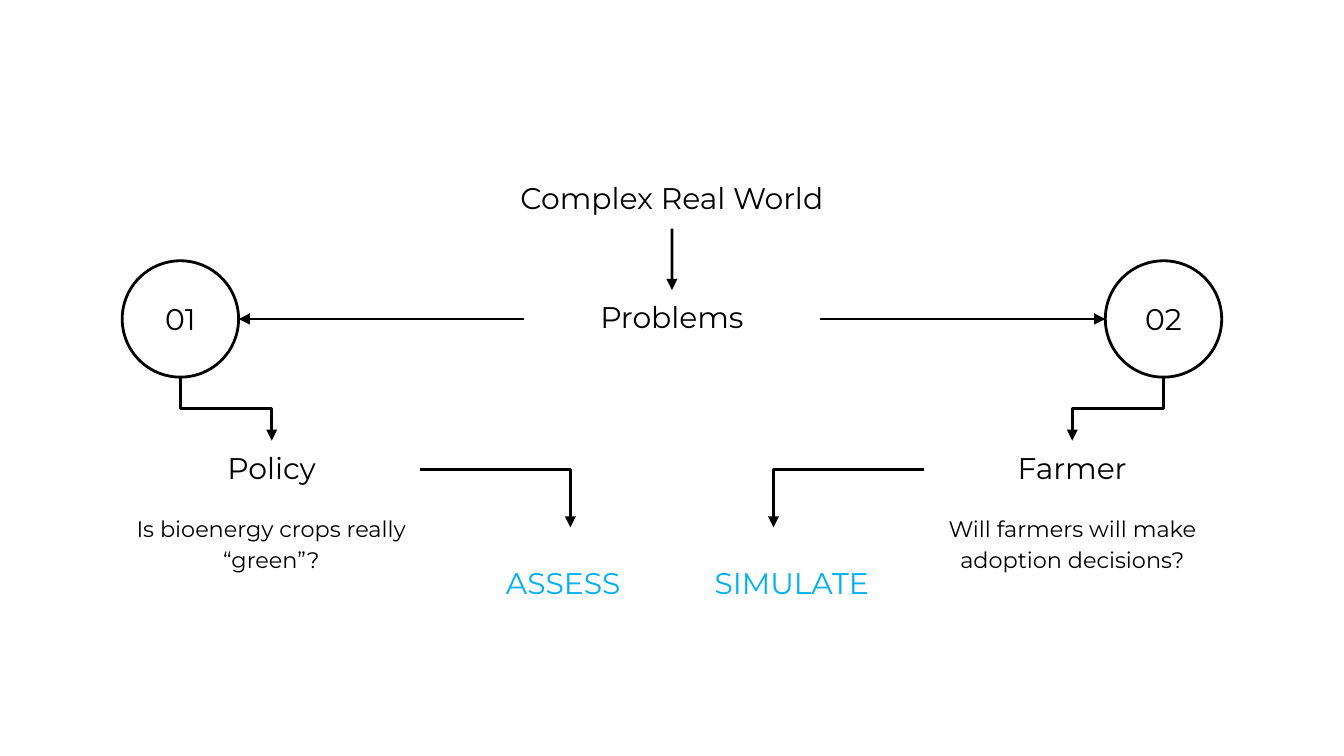
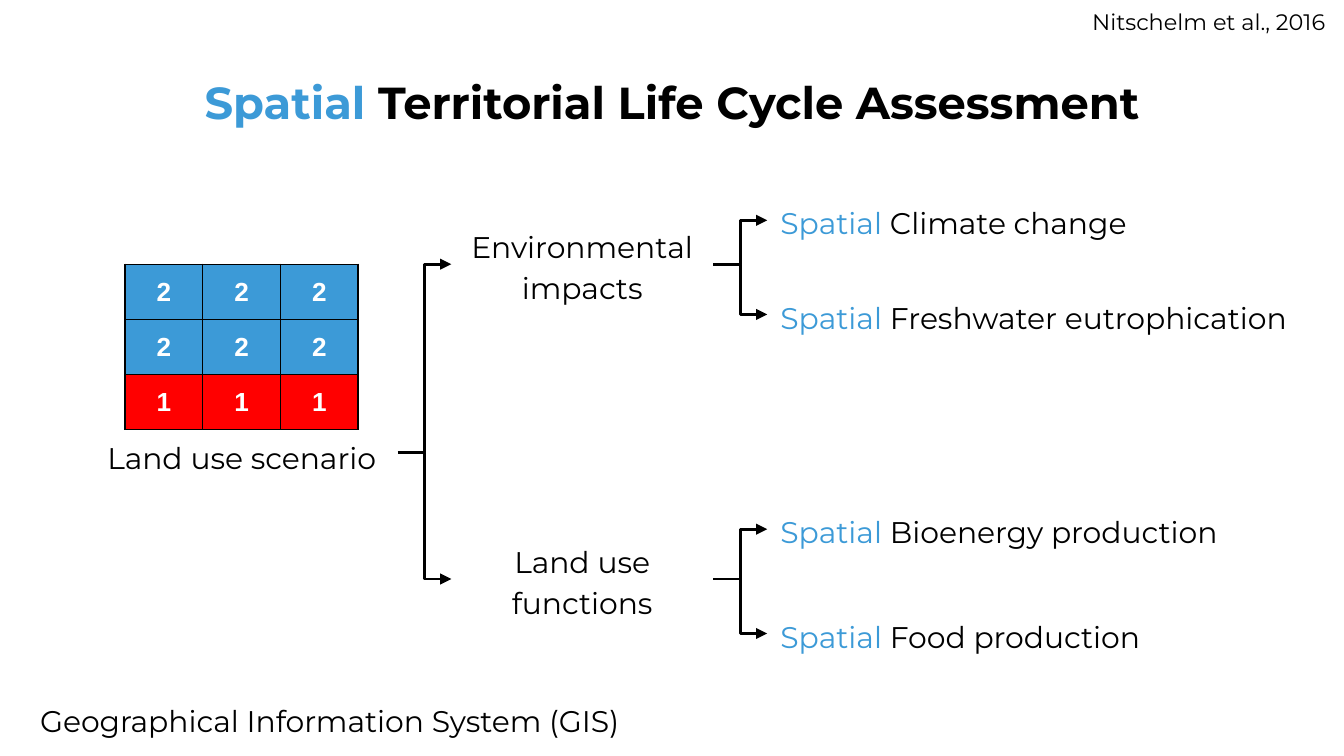
from dataclasses import dataclass
from typing import Optional

from lxml import etree
from pptx import Presentation
from pptx.dml.color import RGBColor
from pptx.enum.shapes import MSO_CONNECTOR, MSO_SHAPE
from pptx.enum.text import MSO_ANCHOR, PP_ALIGN
from pptx.oxml.ns import qn
from pptx.util import Cm, Pt

ELBOW, STRAIGHT = MSO_CONNECTOR.ELBOW, MSO_CONNECTOR.STRAIGHT
OVAL = MSO_SHAPE.OVAL
LEFT, CENTER = PP_ALIGN.LEFT, PP_ALIGN.CENTER
TOP, MID, LOW = MSO_ANCHOR.TOP, MSO_ANCHOR.MIDDLE, MSO_ANCHOR.BOTTOM
N, W, S, E = range(4)  # sides of a box

BLACK, WHITE, RED = "000000", "FFFFFF", "FF0000"
BLUE, CYAN = "3C9AD7", "00B0F0"
FONT = "Montserrat"
WIDE, HIGH = 25.4, 14.29
PAD = Cm(0.25)


@dataclass
class Run:
    text: str
    color: str = BLACK


@dataclass
class Label:
    runs: list[Run]
    x: float
    y: float
    w: float
    h: float = 1.37
    size: int = 16
    anchor: MSO_ANCHOR = MID
    align: PP_ALIGN = CENTER
    bold: bool = False
    gap: Optional[float] = 1.15


@dataclass
class Branch:
    num: str
    name: str
    ask: str
    verb: str
    flip: bool


def rgb(code: str) -> RGBColor:
    return RGBColor.from_string(code)


def write(frame, item: Label, font: str = FONT) -> None:
    """Fill a text frame with the runs of a label."""
    frame.vertical_anchor = item.anchor
    para = frame.paragraphs[0]
    para.alignment = item.align
    if item.gap:
        para.line_spacing = item.gap
    for part in item.runs:
        run = para.add_run()
        run.text = part.text
        run.font.name = font
        run.font.size = Pt(item.size)
        run.font.bold = item.bold
        run.font.color.rgb = rgb(part.color)


def place(slide, item: Label, kind=None):
    """Draw a label as a text box, or as an outlined shape of some kind."""
    area = Cm(item.x), Cm(item.y), Cm(item.w), Cm(item.h)
    if kind is None:
        shape = slide.shapes.add_textbox(*area)
    else:
        shape = slide.shapes.add_shape(kind, *area)
        shape.shadow.inherit = False
        shape.fill.solid()
        shape.fill.fore_color.rgb = rgb(WHITE)
        shape.line.color.rgb = rgb(BLACK)
        shape.line.width = Pt(1.5)
    frame = shape.text_frame
    frame.word_wrap = True
    frame.margin_left = frame.margin_right = PAD
    frame.margin_top = frame.margin_bottom = PAD
    write(frame, item)
    return shape


def spot(shape, side: int) -> tuple[int, int]:
    """Middle of one side of a shape."""
    dx, dy = {N: (1, 0), W: (0, 1), S: (1, 2), E: (2, 1)}[side]
    return shape.left + shape.width * dx // 2, shape.top + shape.height * dy // 2


def arrow(slide, kind, start, end):
    """Draw a black line with an arrowhead at its end."""
    line = slide.shapes.add_connector(kind, *start, *end)
    line.line.color.rgb = rgb(BLACK)
    line.line.width = Pt(1.5)
    props = line.element.spPr
    etree.SubElement(props.find(qn("a:ln")), qn("a:tailEnd"), type="triangle")
    etree.SubElement(props, qn("a:effectLst"))
    return line


def link(slide, one, out: int, two, into: int, kind=ELBOW):
    """Join the sides of two shapes with an arrow."""
    line = arrow(slide, kind, spot(one, out), spot(two, into))
    line.begin_connect(one, out)
    line.end_connect(two, into)
    # An ellipse has eight sites, so each side counts double
    for shape, side, tag in ((one, out, "a:stCxn"), (two, into, "a:endCxn")):
        geom = shape.element.spPr.find(qn("a:prstGeom"))
        if geom.get("prst") == "ellipse":
            site = next(line.element.iter(qn(tag)))
            site.set("idx", str(side * 2))
    return line


def drop(slide, one, two) -> None:
    """Join bottom to top with an elbow that leaves downwards."""
    line = link(slide, one, S, two, N)
    (x1, y1), (x2, y2) = spot(one, S), spot(two, N)
    right = x2 > x1
    wide, high = y2 - y1, abs(x2 - x1)
    line.left, line.top = (x1 + x2 - wide) // 2, (y1 + y2 - high) // 2
    line.width, line.height = wide, high
    frame = line.element.spPr.find(qn("a:xfrm"))
    frame.set("rot", str((270 if right else 90) * 60000))
    frame.set("flipH", "1" if right else "0")


def corner(slide, one, side: int, x: float, y: float) -> None:
    """Lead from a side outwards, then down to a point."""
    line = arrow(slide, ELBOW, spot(one, side), (Cm(x), Cm(y)))
    line.begin_connect(one, side)
    line.element.spPr.find(qn("a:prstGeom")).set("prst", "bentConnector2")


def grid(slide, rows: list[str], x: float, y: float, w: float, h: float) -> None:
    """Draw the land use map as a table."""
    cols = len(rows[0])
    table = slide.shapes.add_table(
        len(rows), cols, Cm(x), Cm(y), Cm(w * cols), Cm(h * len(rows))).table
    table.first_row = table.horz_banding = False
    for col in table.columns:
        col.width = Cm(w)
    for r, row in enumerate(rows):
        table.rows[r].height = Cm(h)
        for c, code in enumerate(row):
            cell = table.cell(r, c)
            cell.fill.solid()
            cell.fill.fore_color.rgb = rgb(RED if code == "1" else BLUE)
            cell.vertical_anchor = MID
            item = Label([Run(code, WHITE)], 0, 0, 0, size=14, bold=True, gap=None)
            write(cell.text_frame, item, "Arial")
            cell.vertical_anchor = MID
            props = cell._tc.get_or_add_tcPr()
            for i, tag in enumerate(("a:lnL", "a:lnR", "a:lnT", "a:lnB")):
                edge = etree.Element(qn(tag), w=str(Pt(1)))
                fill = etree.SubElement(edge, qn("a:solidFill"))
                etree.SubElement(fill, qn("a:srgbClr"), val=BLACK)
                props.insert(i, edge)


def problems(slide) -> None:
    """Two problems, each with its question and its method."""
    def head(text: str, x: float, y: float, w: float, color: str = BLACK):
        return place(slide, Label([Run(text, color)], x, y, w, 1.1, anchor=LOW))

    world = head("Complex Real World", 9.09, 3.22, 7.22)
    hub = head("Problems", 9.9, 5.48, 5.6)
    link(slide, world, S, hub, N, STRAIGHT)

    branches = [
        Branch("01", "Policy", "Is bioenergy crops really “green”?", "ASSESS", False),
        Branch("02", "Farmer", "Will farmers will make adoption decisions?",
               "SIMULATE", True),
    ]
    for b in branches:
        def side(x: float, w: float = 0) -> float:
            return WIDE - x - w if b.flip else x

        near, far = (W, E) if b.flip else (E, W)
        ring = place(slide, Label([Run(b.num)], side(2.31, 2.2), 4.93, 2.2, 2.2,
                                  gap=None), OVAL)
        name = head(b.name, side(2.34, 5.59), 8.33, 5.59)
        place(slide, Label([Run(b.ask)], side(2.31, 5.64), 9.42, 5.64, 2.74,
                           size=12, anchor=TOP))
        head(b.verb, 12.17 if b.flip else 7.85, 10.51, 5.59, CYAN)
        link(slide, hub, far, ring, near, STRAIGHT)
        drop(slide, ring, name)
        corner(slide, name, near, side(10.78), 9.97)


def assess(slide) -> None:
    """Tree from the land use scenario to its spatial results."""
    place(slide, Label(
        [Run("Spatial ", BLUE), Run("Territorial Life Cycle Assessment")],
        1.25, 1.15, 22.9, 1.55, size=24, bold=True, gap=None))
    grid(slide, ["222", "222", "111"], 2.36, 5, 1.47, 1.04)
    root = place(slide, Label([Run("Land use scenario")], 1.62, 7.87, 5.9,
                              anchor=LOW))

    # Groups with their results: text, top, width
    tree = [
        ("Environmental impacts", 4.31, [("Climate change", 3.48, 8.53),
                                         ("Freshwater eutrophication", 5.26, 10.62)]),
        ("Land use functions", 10.26, [("Bioenergy production", 9.32, 10.62),
                                       ("Food production", 11.29, 8.53)]),
    ]
    for text, top, leaves in tree:
        group = place(slide, Label([Run(text)], 8.53, top, 4.95))
        link(slide, root, E, group, W)
        for leaf, y, w in leaves:
            end = place(slide, Label([Run("Spatial ", BLUE), Run(leaf)],
                                     14.5, y, w, align=LEFT))
            link(slide, group, E, end, W)

    # Notes at the slide edges
    place(slide, Label([Run("Geographical Information System (GIS)")],
                       0, 12.88, 12.47))
    place(slide, Label([Run("Nitschelm et al., 2016")], 19.63, -0.18, 6.43, 1.6,
                       size=12, anchor=TOP))


def main() -> None:
    deck = Presentation()
    deck.slide_width, deck.slide_height = Cm(WIDE), Cm(HIGH)
    for draw in (problems, assess):
        draw(deck.slides.add_slide(deck.slide_layouts[6]))
    deck.save("out.pptx")


if __name__ == "__main__":
    main()
